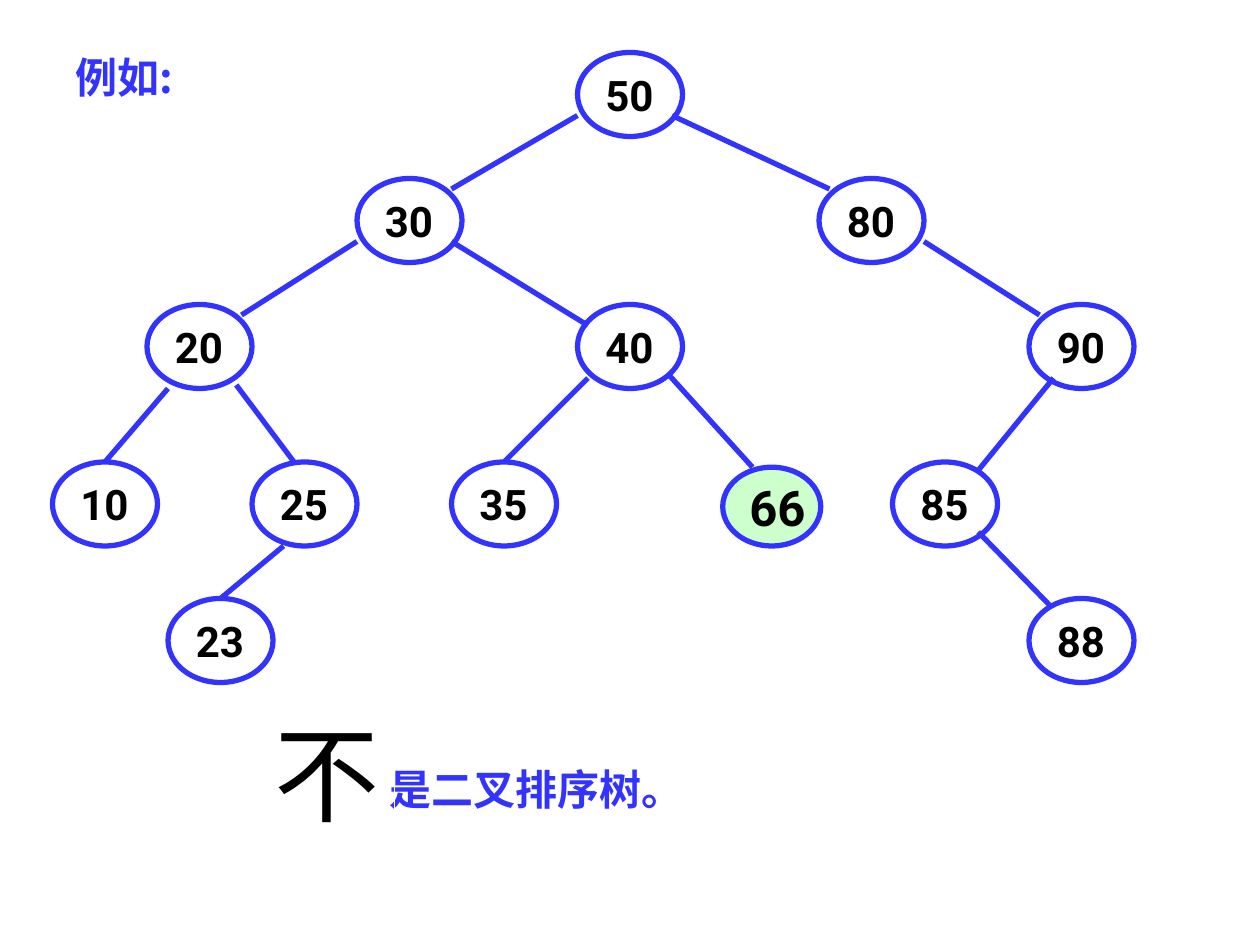
import pptx
import pptx.util
import pptx.dml.color
import pptx.enum.shapes
import pptx.enum.text
import pptx.oxml.ns
import lxml.etree

Pt = pptx.util.Pt
RGB = pptx.dml.color.RGBColor
SHAPE = pptx.enum.shapes.MSO_SHAPE
ALIGN = pptx.enum.text.PP_ALIGN
ANCHOR = pptx.enum.text.MSO_ANCHOR
FIT = pptx.enum.text.MSO_AUTO_SIZE

BLUE = RGB(0x33, 0x33, 0xFF)
GREEN = RGB(0xCC, 0xFF, 0xCC)
BLACK = RGB(0, 0, 0)
WHITE = RGB(0xFF, 0xFF, 0xFF)
LATIN = "Roboto"
HAN = "Noto Sans CJK SC"

NODE_W, NODE_H = 60, 48
ROWS = [
    (0, [("50", 300)]),
    (72, [("30", 174), ("80", 438)]),
    (144, [("20", 54), ("40", 300), ("90", 558)]),
    (234, [("10", 0), ("25", 114), ("35", 228), ("85", 480)]),
    (312, [("23", 66), ("88", 558)]),
]
EDGES = [
    (300, 36, 228, 78), (354, 36, 444, 78),
    (174, 108, 108, 150), (228, 108, 306, 156), (498, 108, 564, 150),
    (66, 192, 30, 234), (105, 190, 138, 234),
    (306, 186, 258, 234), (352, 184, 400, 237), (572, 186, 528, 240),
    (132, 282, 96, 312), (529, 274, 570, 316),
]


def put(slide, kind, box, text, size, face, color, bold, edge, width, fill=None):
    shape = slide.shapes.add_shape(kind, *(Pt(v) for v in box))
    shape.shadow.inherit = False
    if fill is None:
        shape.fill.background()
    else:
        shape.fill.solid()
        shape.fill.fore_color.rgb = fill
    shape.line.color.rgb = edge
    shape.line.width = Pt(width)
    frame = shape.text_frame
    frame.word_wrap = False
    para = frame.paragraphs[0]
    para.text = text
    para.alignment = ALIGN.LEFT
    font = para.font
    font.size = Pt(size)
    font.name = face
    font.bold = bold
    font.color.rgb = color
    props = para._p.pPr.find(pptx.oxml.ns.qn("a:defRPr"))
    lxml.etree.SubElement(props, pptx.oxml.ns.qn("a:ea"), typeface=face)
    return frame


def add_node(slide, box, text, size=24, fill=None):
    frame = put(slide, SHAPE.OVAL, box, text, size, LATIN, BLACK, True, BLUE, 3, fill)
    frame.vertical_anchor = ANCHOR.MIDDLE


def add_edge(slide, ends):
    line = slide.shapes.add_connector(
        pptx.enum.shapes.MSO_CONNECTOR.STRAIGHT, *(Pt(v) for v in ends))
    line.line.color.rgb = BLUE
    line.line.width = Pt(3)
    lxml.etree.SubElement(line._element.spPr, pptx.oxml.ns.qn("a:effectLst"))


def add_label(slide, box, text, size=24, face=HAN, color=BLUE, bold=True):
    frame = put(slide, SHAPE.RECTANGLE, box, text, size, face, color, bold, WHITE, 0.75)
    frame.vertical_anchor = ANCHOR.TOP
    frame.auto_size = FIT.SHAPE_TO_FIT_TEXT


def add_tree(slide, left, top):
    for down, row in ROWS:
        for key, over in row:
            add_node(slide, (left + over, top + down, NODE_W, NODE_H), key)
    for x1, y1, x2, y2 in EDGES:
        add_edge(slide, (left + x1, top + y1, left + x2, top + y2))
    add_node(slide, (left + 383, top + 237, 56, 45), "66", 28, GREEN)


def add_verdict(slide, left, top):
    add_label(slide, (left + 65.5, top + 31, 185, 36), "是二叉排序树。")
    add_label(slide, (left, top, 75.5, 80), "不", 60, LATIN, BLACK, False)


def main():
    deck = pptx.Presentation()
    deck.slide_width, deck.slide_height = Pt(720), Pt(540)
    slide = deck.slides.add_slide(deck.slide_layouts[6])
    add_tree(slide, 30, 30)
    add_label(slide, (36, 26, 75.5, 36), "例如:")
    add_verdict(slide, 150, 402)
    deck.save("out.pptx")


if __name__ == "__main__":
    main()
